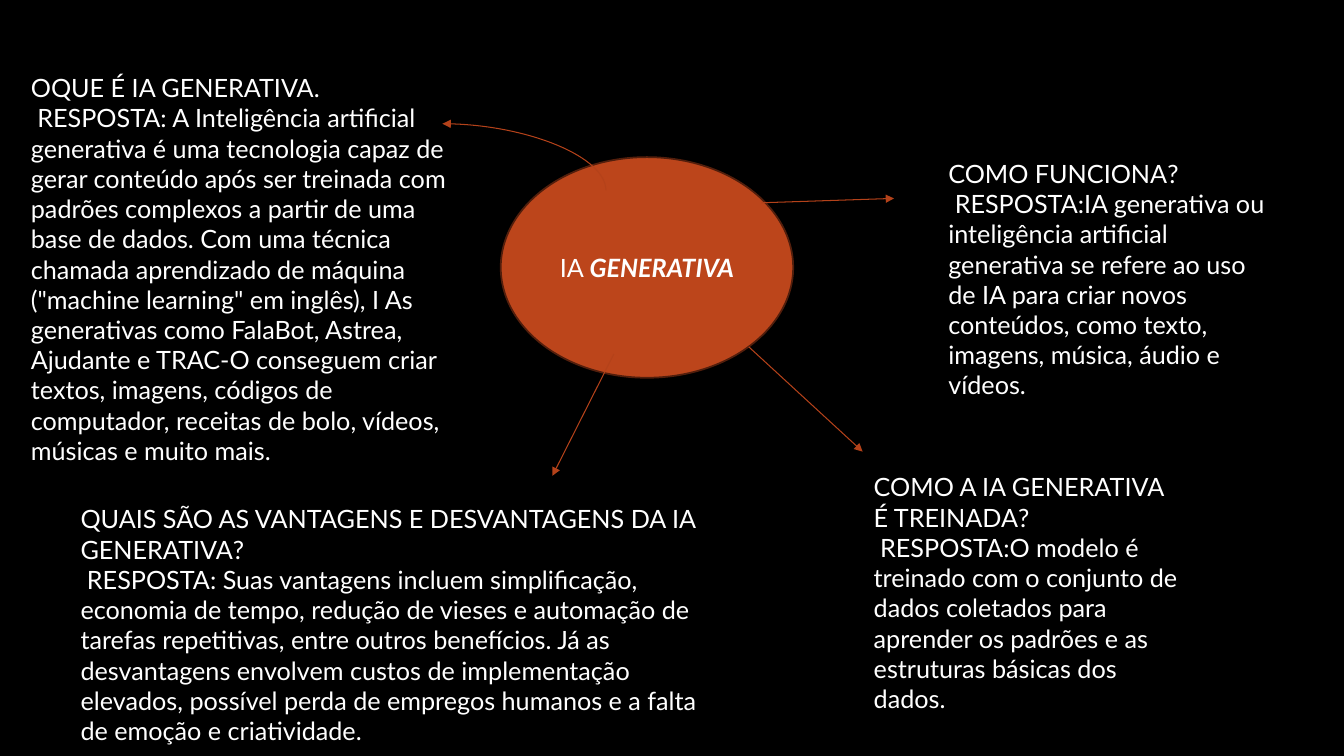
from dataclasses import dataclass

from lxml.etree import SubElement
from pptx import Presentation
from pptx.dml.color import RGBColor
from pptx.enum.shapes import MSO_CONNECTOR, MSO_SHAPE
from pptx.enum.text import MSO_ANCHOR, MSO_AUTO_SIZE, PP_ALIGN
from pptx.oxml.ns import qn
from pptx.slide import Slide
from pptx.text.text import _Paragraph
from pptx.util import Cm, Pt


@dataclass(frozen=True)
class Theme:
    background: RGBColor = RGBColor(0x00, 0x00, 0x00)
    text: RGBColor = RGBColor(0xFF, 0xFF, 0xFF)
    hub: RGBColor = RGBColor(0xBC, 0x45, 0x1B)
    hub_outline: RGBColor = RGBColor(0x52, 0x1E, 0x0C)
    arrow: RGBColor = RGBColor(0xB4, 0x42, 0x1A)
    font: str = "Lato"
    text_size: float = 18
    hub_width: float = 1.25
    arrow_width: float = 0.75


@dataclass(frozen=True)
class Topic:
    """A question with its answer; lengths and points in centimetres."""
    question: str
    answer: str
    left: float
    top: float
    width: float
    height: float
    arrow_start: tuple[float, float]
    arrow_end: tuple[float, float]
    curved: bool = False


THEME = Theme()

TOPICS = [
    Topic(
        "OQUE É IA GENERATIVA.",
        " RESPOSTA: A Inteligência artificial generativa é uma tecnologia capaz de "
        "gerar conteúdo após ser treinada com padrões complexos a partir de uma base "
        "de dados. Com uma técnica chamada aprendizado de máquina (\"machine learning\" "
        "em inglês), I As generativas como FalaBot, Astrea, Ajudante e TRAC-O "
        "conseguem criar textos, imagens, códigos de computador, receitas de bolo, "
        "vídeos, músicas e muito mais.",
        0.53, 1.7, 11.56, 10.26, (15.27, 4.8), (11.15, 3.12), curved=True,
    ),
    Topic(
        "COMO FUNCIONA?",
        " RESPOSTA:IA generativa ou inteligência artificial generativa se refere ao "
        "uso de IA para criar novos conteúdos, como texto, imagens, música, áudio e "
        "vídeos.",
        23.65, 3.86, 8.71, 5.64, (19.18, 5.11), (22.53, 5),
    ),
    Topic(
        "COMO A IA GENERATIVA É TREINADA?",
        " RESPOSTA:O modelo é treinado com o conjunto de dados coletados para "
        "aprender os padrões e as estruturas básicas dos dados.",
        21.77, 11.76, 8.26, 5.64, (18.87, 8.74), (21.74, 11.38),
    ),
    Topic(
        "QUAIS SÃO AS VANTAGENS E DESVANTAGENS DA IA GENERATIVA?",
        " RESPOSTA: Suas vantagens incluem simplificação, economia de tempo, redução "
        "de vieses e automação de tarefas repetitivas, entre outros benefícios. Já as "
        "desvantagens envolvem custos de implementação elevados, possível perda de "
        "empregos humanos e a falta de emoção e criatividade.",
        1.78, 12.57, 16.51, 5.64, (15.47, 8.92), (13.92, 11.99),
    ),
]


def style_text(para: _Paragraph) -> None:
    para.font.name = THEME.font
    para.font.size = Pt(THEME.text_size)
    para.font.color.rgb = THEME.text


def draw_hub(page: Slide) -> None:
    hub = page.shapes.add_shape(MSO_SHAPE.OVAL, Cm(12.62), Cm(3.96), Cm(7.37), Cm(5.56))
    hub.shadow.inherit = False
    hub.fill.solid()
    hub.fill.fore_color.rgb = THEME.hub
    hub.line.color.rgb = THEME.hub_outline
    hub.line.width = Pt(THEME.hub_width)
    hub.text_frame.vertical_anchor = MSO_ANCHOR.MIDDLE
    para = hub.text_frame.paragraphs[0]
    para.alignment = PP_ALIGN.CENTER
    style_text(para)
    para.add_run().text = "IA "
    span = para.add_run()
    span.text = "GENERATIVA"
    span.font.bold = True
    span.font.italic = True


def draw_answer(page: Slide, topic: Topic) -> None:
    box = page.shapes.add_textbox(
        Cm(topic.left), Cm(topic.top), Cm(topic.width), Cm(topic.height))
    frame = box.text_frame
    frame.word_wrap = True
    frame.auto_size = MSO_AUTO_SIZE.SHAPE_TO_FIT_TEXT
    frame.text = f"{topic.question}\n{topic.answer}"
    for para in frame.paragraphs:
        style_text(para)


def draw_arrow(page: Slide, topic: Topic) -> None:
    (x1, y1), (x2, y2) = topic.arrow_start, topic.arrow_end
    kind = MSO_CONNECTOR.STRAIGHT
    if topic.curved:
        # Turn the ends a quarter clockwise; the rotation below turns them back
        kind = MSO_CONNECTOR.CURVE
        middle_x, middle_y = (x1 + x2) / 2, (y1 + y2) / 2
        half_x, half_y = (x2 - x1) / 2, (y2 - y1) / 2
        x1, y1 = middle_x + half_y, middle_y - half_x
        x2, y2 = middle_x - half_y, middle_y + half_x
    arrow = page.shapes.add_connector(kind, Cm(x1), Cm(y1), Cm(x2), Cm(y2))
    arrow.line.color.rgb = THEME.arrow
    arrow.line.width = Pt(THEME.arrow_width)
    properties = arrow._element.spPr
    SubElement(properties.find(qn("a:ln")), qn("a:tailEnd"), type="triangle")
    SubElement(properties, qn("a:effectLst"))
    if topic.curved:
        properties.find(qn("a:prstGeom")).set("prst", "curvedConnector2")
        properties.find(qn("a:xfrm")).set("rot", str(270 * 60000))


def main() -> None:
    deck = Presentation()
    deck.slide_width, deck.slide_height = Cm(33.87), Cm(19.05)
    page = deck.slides.add_slide(deck.slide_layouts[6])
    page.background.fill.solid()
    page.background.fill.fore_color.rgb = THEME.background

    # Central idea, then each answer with its arrow
    draw_hub(page)
    for topic in TOPICS:
        draw_answer(page, topic)
        draw_arrow(page, topic)
    deck.save("out.pptx")


if __name__ == "__main__":
    main()
